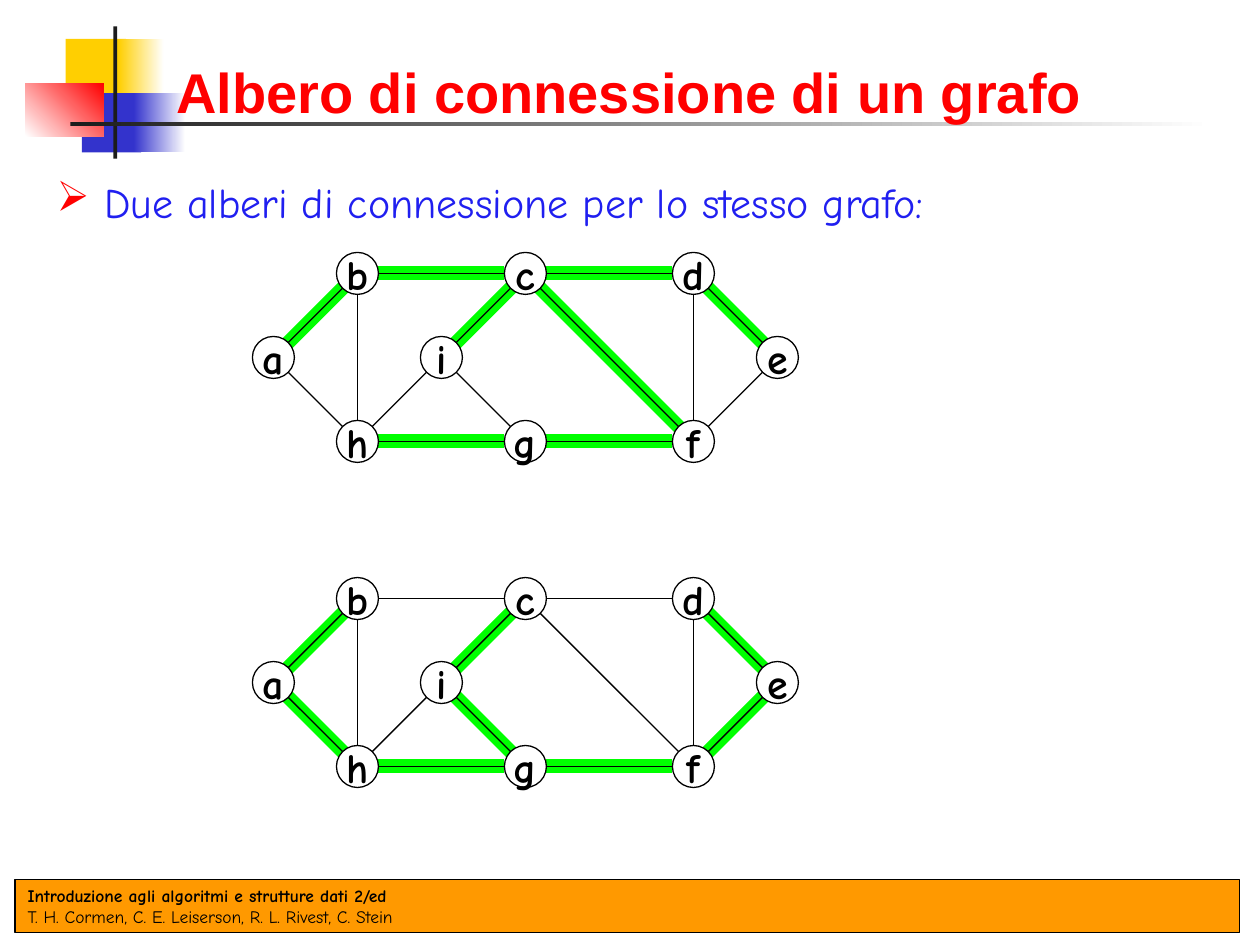
from dataclasses import dataclass

from lxml.etree import SubElement
from pptx import Presentation
from pptx.dml.color import RGBColor
from pptx.enum.shapes import MSO_CONNECTOR, MSO_SHAPE
from pptx.enum.text import MSO_ANCHOR, PP_ALIGN
from pptx.oxml.ns import qn
from pptx.util import Inches, Pt


@dataclass(frozen=True)
class Theme:
    heading_font: str = "Arial"
    text_font: str = "Comic Neue"
    title_size: int = 32
    body_size: int = 24
    footer_size: int = 10
    thin: float = 0.75
    thick: float = 8
    black: str = "000000"
    white: str = "FFFFFF"
    red: str = "FF0000"
    blue: str = "201FF0"
    green: str = "00FF00"
    orange: str = "FF9900"
    yellow: str = "FFCF01"
    indigo: str = "3333CC"
    charcoal: str = "1C1C1C"


class SlideBuilder:
    def __init__(self, slide, theme):
        self.slide = slide
        self.theme = theme

    def shape(self, box, fill, outlined=False, kind=MSO_SHAPE.RECTANGLE):
        shape = self.slide.shapes.add_shape(kind, *map(Inches, box))
        shape.shadow.inherit = False
        shape.fill.solid()
        shape.fill.fore_color.rgb = RGBColor.from_string(fill)
        if outlined:
            shape.line.color.rgb = RGBColor.from_string(self.theme.black)
            shape.line.width = Pt(self.theme.thin)
        else:
            shape.line.fill.background()
        return shape

    def gradient(self, box, start, end, angle=0):
        fill = self.shape(box, start).fill
        fill.gradient()
        fill.gradient_angle = angle
        for stop, color in zip(fill.gradient_stops, (start, end)):
            stop.color.rgb = RGBColor.from_string(color)

    def run(self, paragraph, words, size, color, bold=False, font=None):
        run = paragraph.add_run()
        run.text = words
        formats = {"name": font or self.theme.text_font, "size": Pt(size), "bold": bold}
        for attribute, value in formats.items():
            setattr(run.font, attribute, value)
        run.font.color.rgb = RGBColor.from_string(color)

    def frame(self, shape, wrap, anchor, align=PP_ALIGN.LEFT):
        formats = {"word_wrap": wrap, "vertical_anchor": anchor}
        for attribute, value in formats.items():
            setattr(shape.text_frame, attribute, value)
        paragraph = shape.text_frame.paragraphs[0]
        paragraph.alignment = align
        return paragraph

    def text(self, box, anchor):
        return self.frame(self.slide.shapes.add_textbox(*map(Inches, box)), True, anchor)

    def bullet(self, paragraph, symbol, color, indent):
        properties = paragraph._p.get_or_add_pPr()
        properties.set("marL", str(Inches(indent)))
        properties.set("indent", str(-Inches(indent)))
        bullet_color = SubElement(properties, qn("a:buClr"))
        SubElement(bullet_color, qn("a:srgbClr")).set("val", color)
        SubElement(properties, qn("a:buChar")).set("char", symbol)

    def edge(self, start, end, color, width):
        edge = self.slide.shapes.add_connector(
            MSO_CONNECTOR.STRAIGHT, *map(Inches, (*start, *end)))
        edge.line.color.rgb = RGBColor.from_string(color)
        edge.line.width = Pt(width)
        SubElement(edge._element.spPr, qn("a:effectLst"))

    def node(self, letter, center, diameter):
        x, y = center
        box = (x - diameter / 2, y - diameter / 2, diameter, diameter)
        circle = self.shape(box, self.theme.white, True, MSO_SHAPE.OVAL)
        label = self.frame(circle, False, MSO_ANCHOR.MIDDLE, PP_ALIGN.CENTER)
        self.run(label, letter, self.theme.body_size, self.theme.black, True)

    def graph(self, top, tree):
        centers = {letter: (GRAPH_LEFT + column * STEP, top + row * STEP)
                   for letter, (column, row) in NODES.items()}
        for first, last in tree.split():
            (x1, y1), (x2, y2) = centers[first], centers[last]
            # Horizontal tree edges run from rim to rim
            trim = DIAMETER / 2 if y1 == y2 else 0
            self.edge((x1 + trim, y1), (x2 - trim, y2), self.theme.green, self.theme.thick)
        for first, last in EDGES.split():
            self.edge(centers[first], centers[last], self.theme.black, self.theme.thin)
        for letter, center in centers.items():
            self.node(letter, center, DIAMETER)


# Graph geometry: nodes sit on a square grid (column, row)
STEP = 2 / 3
DIAMETER = 1 / 3
GRAPH_LEFT = 2.17
NODES = {"a": (0, 1), "e": (6, 1), "h": (1, 2), "g": (3, 2), "f": (5, 2),
         "d": (5, 0), "c": (3, 0), "b": (1, 0), "i": (2, 1)}
EDGES = "ha bh ba bc ih ci hg gi fc gf cd df ed ef"
TREES = {2.17: "bc gf cd hg de cf ab ic", 4.75: "ah gf fe hg de ig ab ic"}


def main():
    theme = Theme()
    presentation = Presentation()
    presentation.slide_width, presentation.slide_height = Inches(10), Inches(7.5)
    builder = SlideBuilder(
        presentation.slides.add_slide(presentation.slide_layouts[6]), theme)

    # Footer
    footer = builder.frame(builder.shape((0.12, 6.98, 9.72, 0.42), theme.orange, True),
                           False, MSO_ANCHOR.MIDDLE)
    builder.run(footer, "Introduzione agli algoritmi e strutture dati 2/ed",
                theme.footer_size, theme.black, True)
    footer.add_line_break()
    builder.run(footer, "T. H. Cormen, C. E. Leiserson, R. L. Rivest, C. Stein",
                theme.footer_size, theme.black)

    # Corner decoration
    builder.shape((0.52, 0.31, 0.48, 0.47), theme.yellow)
    builder.gradient((0.94, 0.31, 0.36, 0.47), theme.yellow, theme.white)
    builder.shape((0.65, 0.74, 0.47, 0.47), theme.indigo)
    builder.gradient((1.06, 0.74, 0.41, 0.47), theme.indigo, theme.white)
    builder.gradient((0.2, 0.66, 0.62, 0.42), theme.white, theme.red, 45)
    builder.shape((0.9, 0.21, 0.03, 1.05), theme.charcoal)
    builder.gradient((0.56, 0.97, 9.06, 0.03), theme.charcoal, theme.white)

    # The same graph with two spanning trees
    for top, tree in TREES.items():
        builder.graph(top, tree)

    # Title and statement
    title = builder.text((1.3, 0.29, 8.24, 0.75), MSO_ANCHOR.BOTTOM)
    builder.run(title, "Albero di connessione di un grafo", theme.title_size,
                theme.red, True, theme.heading_font)
    statement = builder.text((0.35, 1.31, 9.29, 5.67), MSO_ANCHOR.TOP)
    builder.bullet(statement, "➢", theme.red, 0.38)
    statement.line_spacing = 1.1
    builder.run(statement, "Due alberi di connessione per lo stesso grafo:",
                theme.body_size, theme.blue)

    presentation.save("out.pptx")


if __name__ == "__main__":
    main()
